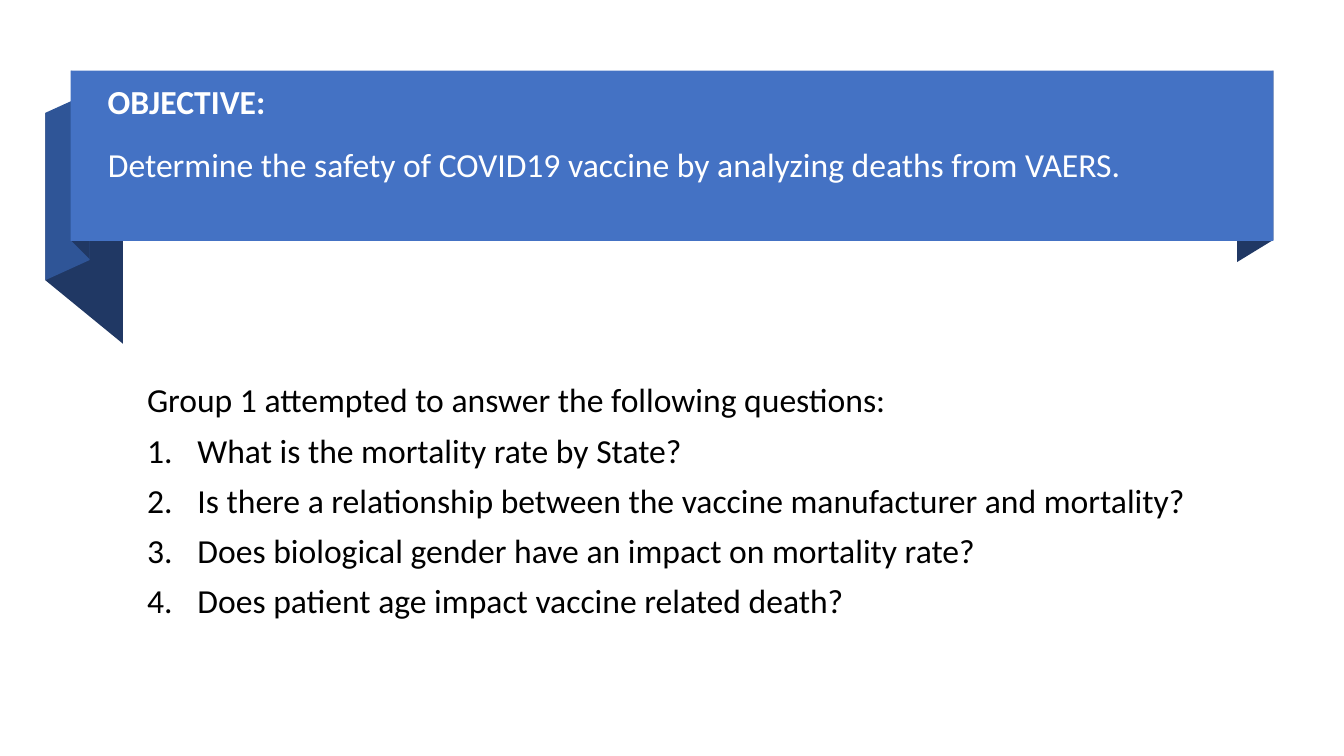
from lxml.etree import SubElement
from pptx import Presentation
from pptx.dml.color import RGBColor
from pptx.enum.shapes import MSO_SHAPE
from pptx.enum.text import MSO_ANCHOR, MSO_AUTO_SIZE, PP_ALIGN
from pptx.oxml.ns import qn
from pptx.util import Inches, Pt

BLUE, MID, NAVY = "4472C4", "2F5597", "203864"
WHITE, BLACK = "FFFFFF", "000000"
QUERIES = [
    "What is the mortality rate by State?",
    "Is there a relationship between the vaccine manufacturer and mortality?",
    "Does biological gender have an impact on mortality rate?",
    "Does patient age impact vaccine related death?",
]


def color(code):
    return RGBColor.from_string(code)


class Page:
    font, size = "Calibri", Pt(24)

    def __init__(self, deck):
        self.slide = deck.slides.add_slide(deck.slide_layouts[5])
        self.shapes = self.slide.shapes

    def paint(self, shape, code):
        shape.shadow.inherit = False
        shape.fill.solid()
        shape.fill.fore_color.rgb = color(code)
        shape.line.fill.background()

    def fold(self, points, code):
        """Draw one filled outline through points given in inches."""
        start, *rest = [(Inches(x), Inches(y)) for x, y in points]
        form = self.shapes.build_freeform(*start)
        form.add_line_segments(rest, close=True)
        self.paint(form.convert_to_shape(), code)

    def band(self, box, code):
        shape = self.shapes.add_shape(MSO_SHAPE.RECTANGLE, *map(Inches, box))
        self.paint(shape, code)

    def fill(self, shape, lines, code, bold=False, gap=0):
        """Set the lines of a shape's text and their style."""
        frame = shape.text_frame
        frame.auto_size = MSO_AUTO_SIZE.NONE
        frame.word_wrap = True
        frame.vertical_anchor = MSO_ANCHOR.MIDDLE
        frame.text = "\n".join(lines)
        for i, para in enumerate(frame.paragraphs):
            para.alignment = PP_ALIGN.LEFT
            para.line_spacing = 0.9
            para.space_before = Pt(gap if i else 0)
            para.font.name = self.font
            para.font.size = self.size
            para.font.bold = bold
            para.font.color.rgb = color(code)
        return frame.paragraphs

    def title(self, box, line, code):
        shape = self.shapes.title
        shape.left, shape.top, shape.width, shape.height = map(Inches, box)
        self.fill(shape, [line], code)
        # The title must lie above the ribbon.
        self.shapes._spTree.append(shape._element)

    def text(self, box, lines, code, **style):
        shape = self.shapes.add_textbox(*map(Inches, box))
        return self.fill(shape, lines, code, **style)

    def number(self, paras):
        for para in paras:
            props = para._p.get_or_add_pPr()
            props.set("marL", str(Inches(0.5)))
            props.set("indent", str(-Inches(0.5)))
            mark = SubElement(props, qn("a:buAutoNum"), type="arabicPeriod")
            props.insert_element_before(mark, "a:tabLst", "a:defRPr", "a:extLst")


def main():
    deck = Presentation()
    deck.slide_width, deck.slide_height = Inches(13.33), Inches(7.5)
    page = Page(deck)

    page.fold([(1.22, 3.41), (0.45, 2.78), (0.45, 1.12), (1.22, 1.75)], NAVY)
    page.fold([(0.89, 2.58), (0.45, 2.78), (0.45, 1.12), (0.89, 0.92)], MID)
    page.fold([(0.89, 2.57), (0.71, 2.39), (0.71, 0.7), (0.89, 0.89)], NAVY)
    page.fold([(12.63, 2.38), (12.27, 2.6), (12.27, 0.91), (12.63, 0.7)], NAVY)
    page.band((0.7, 0.7, 11.93, 1.69), BLUE)

    page.title(
        (0.97, 1.08, 11.23, 1.15),
        "Determine the safety of COVID19 vaccine by analyzing deaths from VAERS.",
        WHITE,
    )
    intro = "Group 1 attempted to answer the following questions:"
    paras = page.text((1.36, 3.17, 10.62, 3.63), [intro, *QUERIES], BLACK, gap=10)
    page.number(paras[1:])
    page.text((0.97, 0.45, 11.23, 1.15), ["OBJECTIVE:"], WHITE, bold=True)
    deck.save("out.pptx")


if __name__ == "__main__":
    main()
